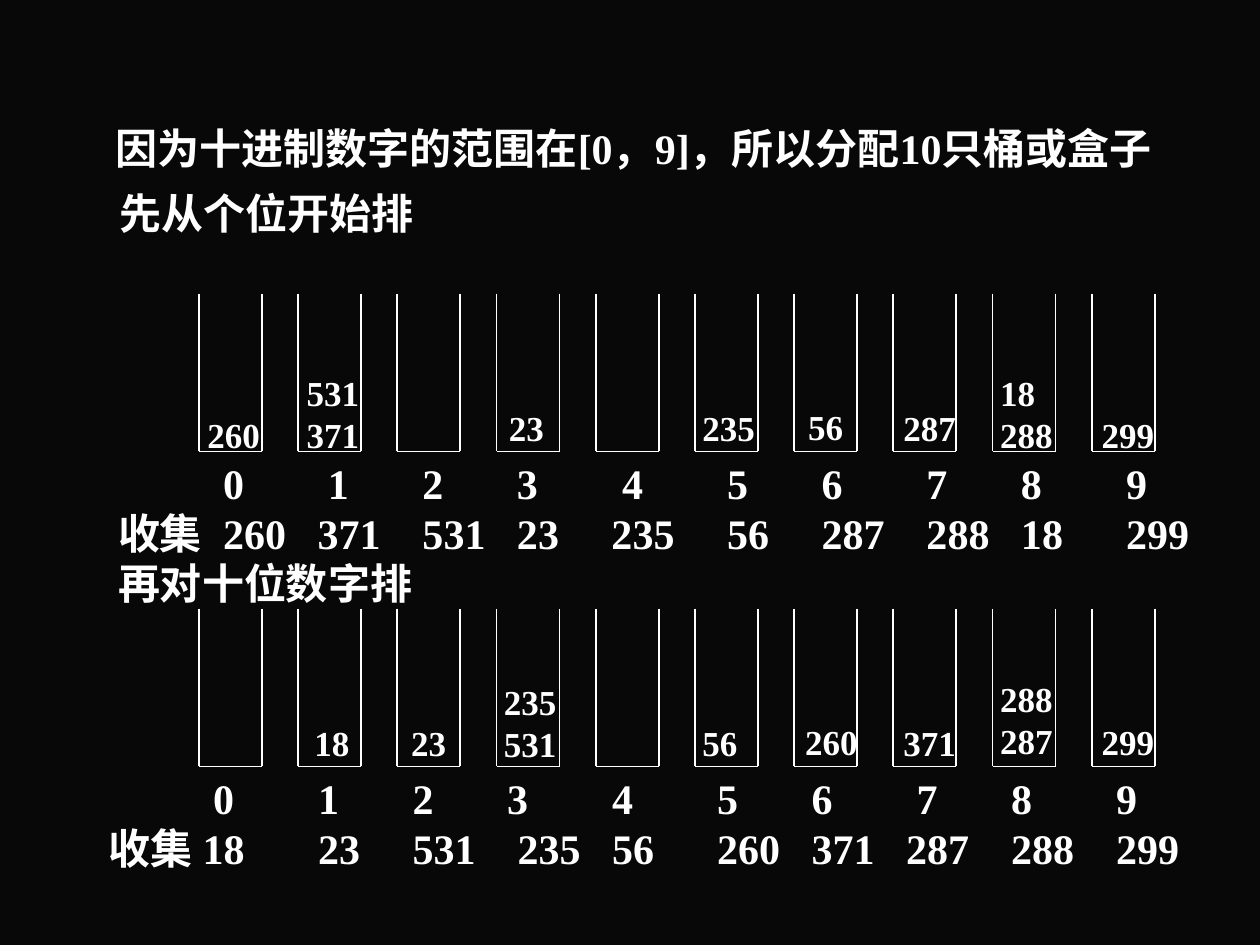
from lxml.etree import SubElement
from pptx import Presentation
from pptx.dml.color import RGBColor
from pptx.enum.shapes import MSO_CONNECTOR
from pptx.enum.text import MSO_ANCHOR, MSO_AUTO_SIZE, PP_ALIGN
from pptx.oxml.ns import qn
from pptx.util import Cm, Pt

COLORS = {"background": "080808", "ink": "FFFFFF"}
FONT = "Times New Roman"
TITLE = "因为十进制数字的范围在[0，9]，所以分配10只桶或盒子"
FIRST_STEP = "先从个位开始排"
SECOND_STEP = "再对十位数字排"
DIGITS = ("", range(10), (60, 120, 174, 228, 288, 348, 402, 462, 516, 576))

PASSES = [
    {
        "top": 5.92,
        "contents": [
            (0, -0.08, 2.29, ["260"]),
            (1, -0.08, 1.45, ["531", "371"]),
            (3, 0, 2.16, ["23"]),
            (5, -0.1, 2.16, ["235"]),
            (6, 0.03, 2.13, ["56"]),
            (7, -0.05, 2.16, ["287"]),
            (8, -0.1, 1.45, ["18", "288"]),
            (9, -0.05, 2.29, ["299"]),
        ],
        "rows_at": (2.13, 9.09),
        "rows": [
            DIGITS,
            ("收集", (260, 371, 531, 23, 235, 56, 287, 288, 18, 299),
             (60, 114, 174, 228, 282, 348, 402, 462, 516, 576)),
            (SECOND_STEP, (), ()),
        ],
    },
    {
        "top": 12.27,
        "contents": [
            (1, 0.08, 2.16, ["18"]),
            (2, 0.03, 2.16, ["23"]),
            (3, -0.1, 1.32, ["235", "531"]),
            (5, -0.1, 2.16, ["56"]),
            (6, -0.03, 2.13, ["260"]),
            (7, -0.05, 2.16, ["371"]),
            (8, -0.1, 1.27, ["288", "287"]),
            (9, -0.05, 2.13, ["299"]),
        ],
        "rows_at": (1.93, 15.44),
        "rows": [
            DIGITS,
            ("收集", (18, 23, 531, 235, 56, 260, 371, 287, 288, 299),
             (54, 120, 174, 234, 288, 348, 402, 456, 516, 576)),
        ],
    },
]

BUCKET_LEFT, BUCKET_PITCH, BUCKET_WIDTH, BUCKET_HEIGHT = 4.01, 2, 1.27, 3.18


def color(name):
    return RGBColor.from_string(COLORS[name])


def write(box, rows, size, wrap=False):
    frame = box.text_frame
    frame.word_wrap = wrap
    frame.auto_size = MSO_AUTO_SIZE.NONE
    frame.vertical_anchor = MSO_ANCHOR.TOP
    for index, (label, values, stops) in enumerate(rows):
        para = frame.add_paragraph() if index else frame.paragraphs[0]
        para.alignment = PP_ALIGN.LEFT
        para.line_spacing = 1.0
        if stops:
            tabs = SubElement(para._p.get_or_add_pPr(), qn("a:tabLst"))
            for stop in stops:
                SubElement(tabs, qn("a:tab"), pos=str(Pt(stop)), algn="l")
        span = para.add_run()
        span.text = "\t".join([label, *map(str, values)])
        span.font.name = FONT
        span.font.size = Pt(size)
        span.font.bold = True
        span.font.color.rgb = color("ink")


def add_text(page, left, top, width, height, rows, size, wrap=False):
    box = page.shapes.add_textbox(Cm(left), Cm(top), Cm(width), Cm(height))
    write(box, rows, size, wrap)


def add_bucket(page, left, top):
    right, bottom = left + BUCKET_WIDTH, top + BUCKET_HEIGHT
    for ends in [(left, top, left, bottom), (right, top, right, bottom),
                 (left, bottom, right, bottom)]:
        line = page.shapes.add_connector(MSO_CONNECTOR.STRAIGHT, *map(Cm, ends))
        line.line.color.rgb = color("ink")
        line.line.width = Pt(1)
        SubElement(line._element.spPr, qn("a:effectLst"))


def add_pass(page, sorting):
    top = sorting["top"]
    for column in range(10):
        add_bucket(page, BUCKET_LEFT + column * BUCKET_PITCH, top)
    for column, shift, drop, numbers in sorting["contents"]:
        left = BUCKET_LEFT + column * BUCKET_PITCH + shift
        width = 0.54 + 0.34 * max(map(len, numbers))
        height = 0.27 + 0.85 * len(numbers)
        rows = [(number, (), ()) for number in numbers]
        add_text(page, left, top + drop, width, height, rows, 20)
    left, row_top = sorting["rows_at"]
    height = 0.25 + 1.02 * len(sorting["rows"])
    add_text(page, left, row_top, 22.4, height, sorting["rows"], 24, True)


def main():
    deck = Presentation()
    deck.slide_width, deck.slide_height = Cm(25.4), Cm(19.05)
    page = deck.slides.add_slide(deck.slide_layouts[5])
    page.background.fill.solid()
    page.background.fill.fore_color.rgb = color("background")
    title = page.shapes.title
    title.left, title.top, title.width, title.height = map(Cm, (2.08, 2.34, 22.61, 1.27))
    write(title, [(TITLE, (), ())], 24)
    add_text(page, 2.16, 3.66, 6.43, 1.27, [(FIRST_STEP, (), ())], 24)
    for sorting in PASSES:
        add_pass(page, sorting)
    deck.save("out.pptx")


if __name__ == "__main__":
    main()
